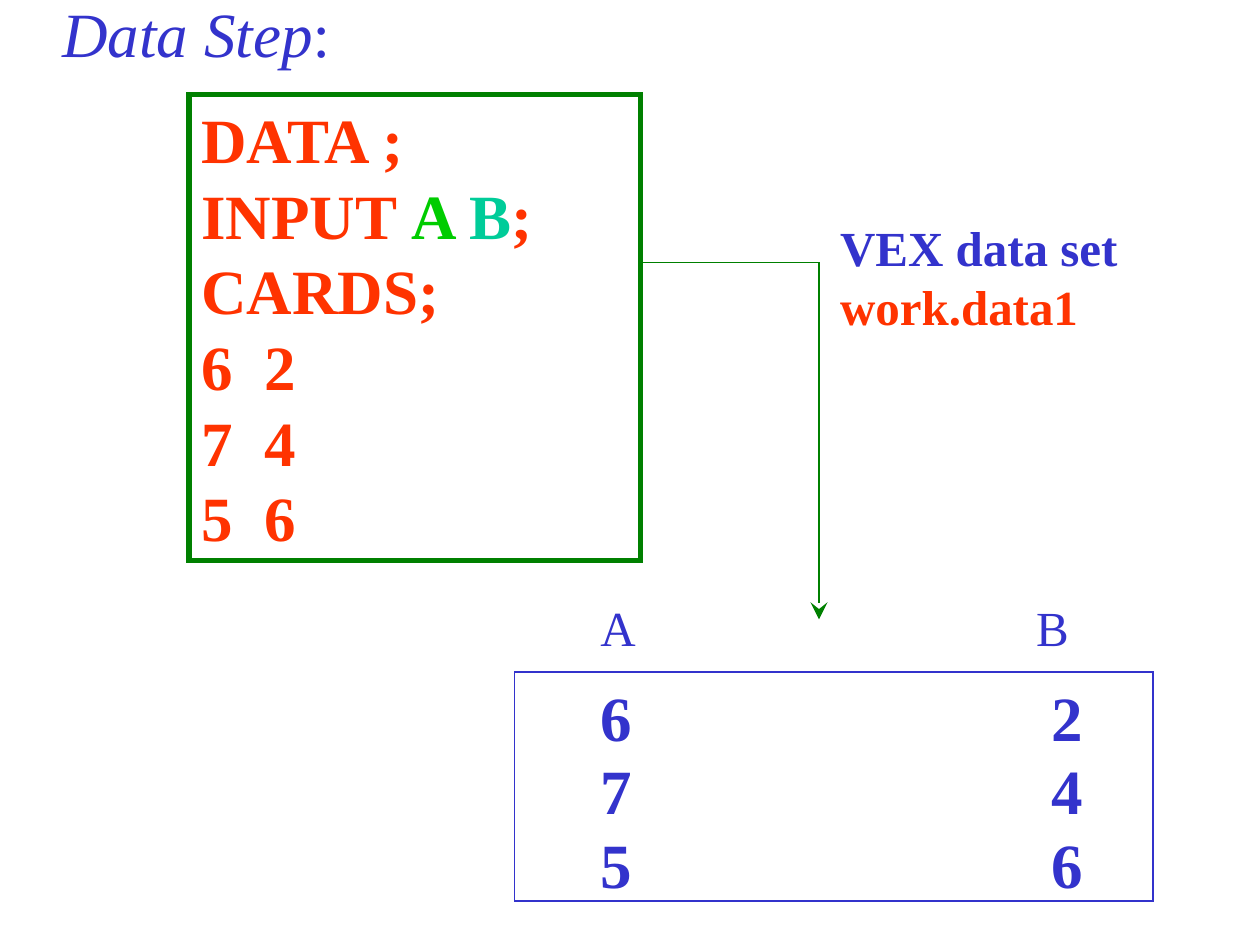
from lxml.etree import SubElement
from pptx import Presentation
from pptx.dml.color import RGBColor
from pptx.enum.shapes import MSO_CONNECTOR, MSO_SHAPE
from pptx.enum.text import MSO_ANCHOR, MSO_AUTO_SIZE, PP_ALIGN
from pptx.oxml.ns import qn
from pptx.util import Pt

FONT = "Times New Roman"
BLUE, RED, GREEN = "3333CC", "FF3300", "008000"
LIME, TEAL = "00CC00", "00CC99"
LEAD = 1.2


def color(code):
    """Turn a hex string into a colour."""
    return RGBColor.from_string(code)


def place(shape, box):
    """Move a shape to a box of left, top, width and height."""
    shape.left, shape.top, shape.width, shape.height = map(Pt, box)


def write(shape, lines, size, wrap=False, bold=True):
    """Fill a shape with lines, each a list of (text, colour) runs."""
    frame = shape.text_frame
    frame.word_wrap = wrap
    frame.auto_size = MSO_AUTO_SIZE.NONE
    frame.vertical_anchor = MSO_ANCHOR.TOP
    for i, line in enumerate(lines):
        para = frame.add_paragraph() if i else frame.paragraphs[0]
        para.alignment = PP_ALIGN.LEFT
        para.line_spacing = Pt(LEAD * size)
        for text, code in line:
            run = para.add_run()
            run.text = text
            font = run.font
            font.name, font.size, font.bold = FONT, Pt(size), bold
            font.color.rgb = color(code)
    return frame


def label(slide, box, lines, size, bold=True):
    """Add a text box and return its frame."""
    return write(slide.shapes.add_textbox(*map(Pt, box)), lines, size, bold=bold)


def border(slide, box, code, width):
    """Add an unfilled rectangle with square corners."""
    rect = slide.shapes.add_shape(MSO_SHAPE.RECTANGLE, *map(Pt, box))
    rect.shadow.inherit = False
    rect.fill.background()
    rect.line.color.rgb = color(code)
    rect.line.width = Pt(width)
    SubElement(rect.line._get_or_add_ln(), qn("a:miter"), lim="800000")
    return rect


def title(slide, box):
    """Set the heading in the title placeholder."""
    head = slide.shapes.title
    place(head, box)
    frame = write(head, [[("Data Step", BLUE), (":", BLUE)]], 36, bold=False)
    frame.paragraphs[0].runs[0].font.italic = True


def program(slide, box):
    """Draw the framed program code."""
    lines = [
        [("DATA ;", RED)],
        [("INPUT ", RED), ("A ", LIME), ("B", TEAL), (";", RED)],
        [("CARDS;", RED)],
    ]
    lines += [[(row, RED)] for row in ("6  2", "7  4", "5  6")]
    write(border(slide, box, GREEN, 3), lines, 36, wrap=True)


def caption(slide, box):
    """Name the resulting data set."""
    label(slide, box, [[("VEX data set", BLUE)], [("work.data1", RED)]], 28)


def flow(slide, box):
    """Draw the elbow arrow across the box, right and then down."""
    left, top, width, height = box
    points = [(left, top), (left + width, top), (left + width, top + height)]
    for start, end in zip(points, points[1:]):
        line = slide.shapes.add_connector(
            MSO_CONNECTOR.STRAIGHT, *map(Pt, start + end))
        line.line.color.rgb = color(GREEN)
        line.line.width = Pt(1)
        SubElement(line._element.spPr, qn("a:effectLst"))
    SubElement(line.line._get_or_add_ln(), qn("a:tailEnd"),
               type="stealth", w="lg", len="lg")


def result(slide, box):
    """Draw the data set: column names above a frame of values."""
    left, top, width, height = box
    border(slide, box, BLUE, 1)
    col = left + 42
    names = label(slide, (col, top - 55.5, 288, 50.4),
                  [[("A\tB", BLUE)]], 28, bold=False)
    para = names.paragraphs[0]
    para.line_spacing = Pt(LEAD * 36)
    tabs = SubElement(para._p.get_or_add_pPr(), qn("a:tabLst"))
    SubElement(tabs, qn("a:tab"), pos=str(Pt(249)), algn="l")
    for i, row in enumerate(("62", "74", "56")):
        for j, value in enumerate(row):
            spot = (col + 258 * j, top + 42 * i, 32.4, 50.4)
            label(slide, spot, [[(value, BLUE)]], 36)


def build():
    """Build and save the slide."""
    deck = Presentation()
    deck.slide_width, deck.slide_height = Pt(720), Pt(540)
    slide = deck.slides.add_slide(deck.slide_layouts[5])
    program(slide, (108, 54, 258, 266.4))
    result(slide, (294, 384, 365, 131))
    flow(slide, (366, 150, 102, 204))
    title(slide, (28.5, -6.5, 168, 50.4))
    caption(slide, (473, 121, 172, 75))
    deck.save("out.pptx")


build()
